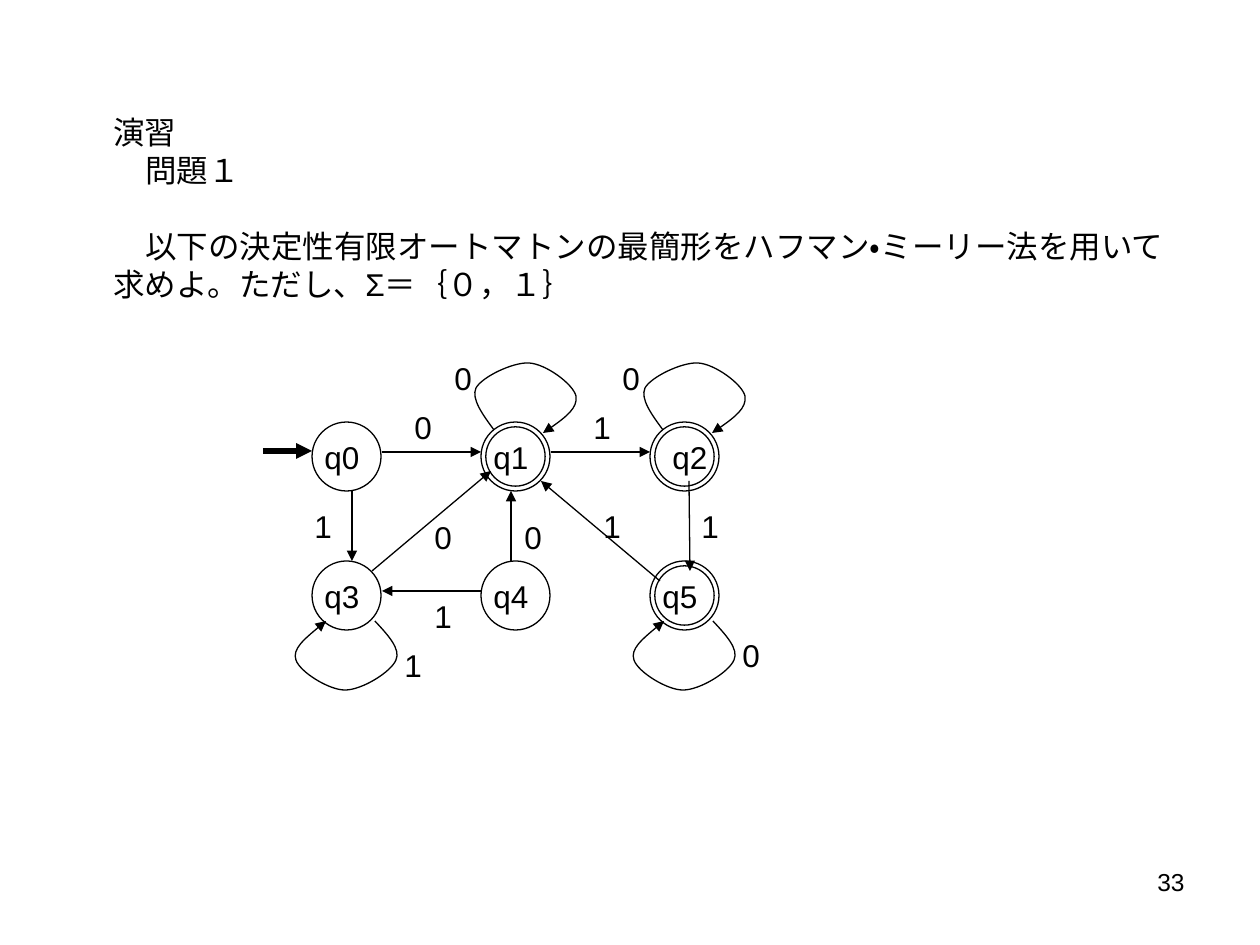
from pptx import Presentation
from pptx.dml.color import RGBColor
from pptx.enum.lang import MSO_LANGUAGE_ID
from pptx.enum.shapes import MSO_CONNECTOR, MSO_SHAPE
from pptx.enum.text import MSO_AUTO_SIZE, PP_ALIGN
from pptx.oxml.ns import qn
from pptx.util import Emu, Pt
from lxml.etree import SubElement

SCALE = 914400 / 126  # EMU in one px
COLORS = {"ink": "000000"}
FONT = "Arial"

# State grid
DIAMETER = 69
COLUMNS = [312, 481, 650]
ROWS = [422, 561]
# name: column, row, accepting, label offset
STATES = {
    "q0": (0, 0, False, 0),
    "q1": (1, 0, True, 0),
    "q2": (2, 0, True, 10),
    "q3": (0, 1, False, 0),
    "q4": (1, 1, False, 0),
    "q5": (2, 1, True, 0),
}

# Bezier points of the self-loops, measured from the corner of the state
LOOP_ABOVE = [(13, 8), (2, -7), (-10, -23), (-5, -34), (1, -45), (32, -60), (48, -59),
              (65, -58), (92, -38), (95, -26), (97, -14), (80, -1), (62, 11)]
LOOP_BELOW = [(63, 60), (76, 74), (89, 88), (84, 99), (79, 111), (50, 129), (33, 129),
              (17, 129), (-12, 111), (-16, 99), (-20, 88), (-3, 74), (14, 60)]
LOOPS = {"q1": LOOP_ABOVE, "q2": LOOP_ABOVE, "q3": LOOP_BELOW, "q5": LOOP_BELOW}

# Start and end of each transition
ARROWS = [
    ((382, 452), (481, 452)),  # q0 to q1
    ((551, 452), (650, 452)),  # q1 to q2
    ((352, 491), (352, 561)),  # q0 to q3
    ((372, 571), (491, 471)),  # q3 to q1
    ((481, 591), (382, 591)),  # q4 to q3
    ((511, 561), (511, 491)),  # q4 to q1
    ((660, 581), (541, 481)),  # q5 to q1
    ((689, 481), (690, 571)),  # q2 to q5
]
SYMBOLS = {
    "0": [(402, 402), (442, 353), (610, 353), (422, 512), (512, 512), (730, 630)],
    "1": [(581, 402), (302, 501), (591, 501), (689, 501), (422, 591), (392, 640)],
}


def px(value):
    return Emu(round(value * SCALE))


def ink():
    return RGBColor.from_string(COLORS["ink"])


def style_line(line, width=0.75, arrow=False):
    line.color.rgb = ink()
    line.width = Pt(width)
    if arrow:
        SubElement(line._get_or_add_ln(), qn("a:tailEnd"), type="triangle")


def add_text(slide, text, left, top, width, height, size=18, align=PP_ALIGN.LEFT,
             wrap=False, language=None):
    box = slide.shapes.add_textbox(px(left), px(top), px(width), px(height))
    frame = box.text_frame
    frame.text = text
    frame.word_wrap = wrap
    frame.auto_size = MSO_AUTO_SIZE.NONE if wrap else MSO_AUTO_SIZE.SHAPE_TO_FIT_TEXT
    for para in frame.paragraphs:
        para.alignment = align
        for span in para.runs:
            span.font.name = FONT
            span.font.size = Pt(size)
            span.font.color.rgb = ink()
            if language:
                span.font.language_id = language
    return box


def add_state(slide, name):
    column, row, accepting, offset = STATES[name]
    left, top = COLUMNS[column], ROWS[row]
    kind = MSO_SHAPE.DONUT if accepting else MSO_SHAPE.OVAL
    circle = slide.shapes.add_shape(kind, px(left), px(top), px(DIAMETER), px(DIAMETER))
    if accepting:
        circle.adjustments[0] = 0.07
    circle.shadow.inherit = False
    circle.fill.background()
    style_line(circle.line)
    add_text(slide, name, left + offset, top + 10, 61, 50)


def add_loop(slide, name, offsets):
    column, row = STATES[name][:2]
    points = [(COLUMNS[column] + x, ROWS[row] + y) for x, y in offsets]
    builder = slide.shapes.build_freeform(*points[0], scale=SCALE)
    builder.add_line_segments(points[1:], close=False)
    loop = builder.convert_to_shape()
    # Each three straight segments become one Bezier curve
    segments = list(loop._element.iter(qn("a:lnTo")))
    for start in range(0, len(segments), 3):
        curve = segments[start]
        curve.tag = qn("a:cubicBezTo")
        for segment in segments[start + 1:start + 3]:
            curve.append(segment[0])
            segment.getparent().remove(segment)
    loop.shadow.inherit = False
    loop.fill.background()
    style_line(loop.line, arrow=True)


def add_arrow(slide, start, end, width=0.75):
    arrow = slide.shapes.add_connector(MSO_CONNECTOR.STRAIGHT, *map(px, start + end))
    style_line(arrow.line, width, arrow=True)
    SubElement(arrow._element.spPr, qn("a:effectLst"))


def add_exercise(slide):
    text = ("演習\n問題１\n"
            "以下の決定性有限オートマトンの最簡形をハフマン・ミーリー法を用いて"
            "求めよ。ただし、Σ＝｛０，１｝")
    box = add_text(slide, text, 101, 107, 1091, 204, wrap=True,
                   language=MSO_LANGUAGE_ID.JAPANESE)
    paragraphs = box.text_frame.paragraphs
    for para in paragraphs[1:]:
        para._p.get_or_add_pPr().set("indent", str(px(32)))
    paragraphs[2].space_before = Pt(22)


def main():
    deck = Presentation()
    deck.slide_width, deck.slide_height = px(1260), px(945)
    slide = deck.slides.add_slide(deck.slide_layouts[6])

    # Page number and exercise
    add_text(slide, "33", 903, 861, 294, 66, size=14, align=PP_ALIGN.RIGHT, wrap=True)
    add_exercise(slide)

    # Automaton
    for name in STATES:
        add_state(slide, name)
    for name, offsets in LOOPS.items():
        add_loop(slide, name, offsets)
    for start, end in ARROWS:
        add_arrow(slide, start, end)
    add_arrow(slide, (263, 451), (312, 451), width=3)

    # Input symbols
    for symbol, places in SYMBOLS.items():
        for left, top in places:
            add_text(slide, symbol, left, top, 43, 50)

    deck.save("out.pptx")


if __name__ == "__main__":
    main()
